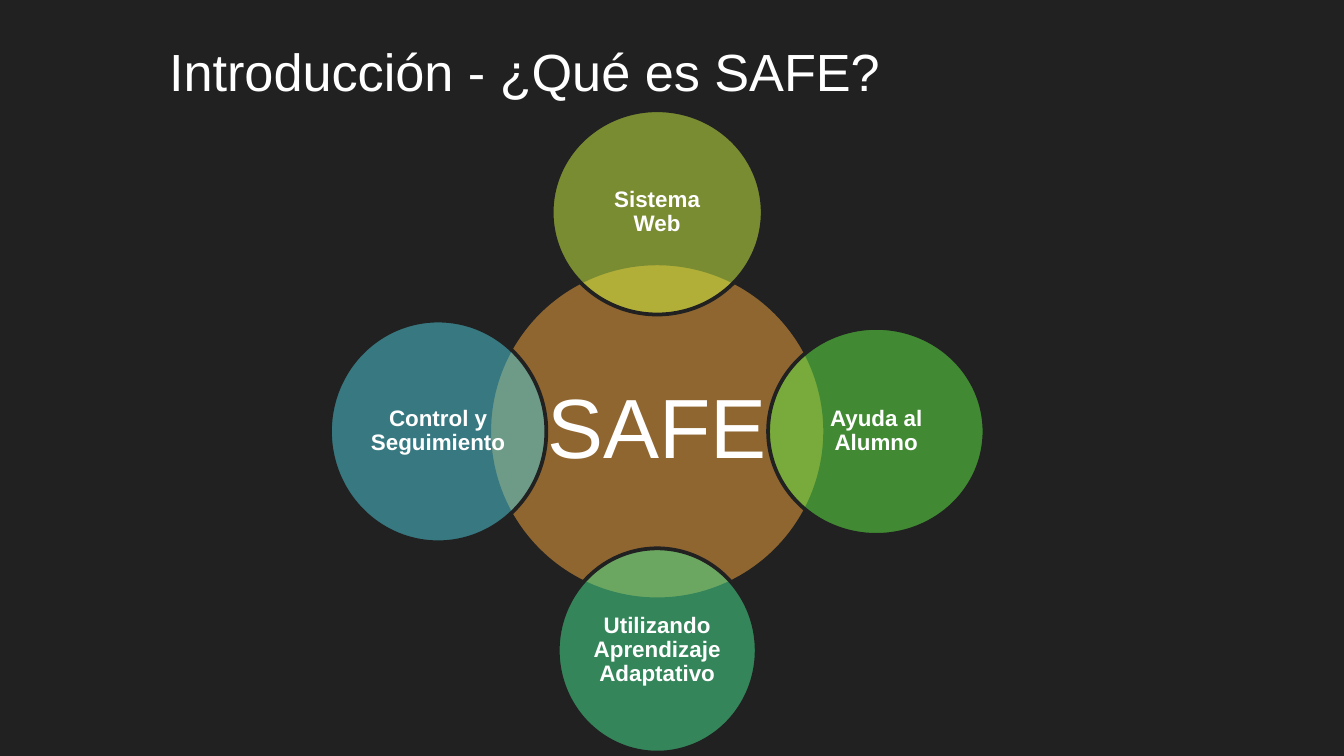
import pptx
import pptx.util
import pptx.dml.color
import pptx.enum.shapes
import pptx.enum.text
import pptx.oxml.ns
import lxml.etree

Inches, Pt = pptx.util.Inches, pptx.util.Pt
BACKGROUND, WHITE = "212121", "FFFFFF"


def paint(color_format, value):
    color_format.rgb = pptx.dml.color.RGBColor.from_string(value)


def add_text(slide, text, left, top, width, height, size, inset):
    box = slide.shapes.add_textbox(*map(Inches, (left, top, width, height)))
    frame = box.text_frame
    frame.word_wrap = True
    frame.margin_left = frame.margin_right = Inches(inset)
    frame.margin_top = frame.margin_bottom = Inches(inset)
    frame.text = text
    for span in frame.paragraphs[0].runs:
        span.font.name = "Arial"
        span.font.size = Pt(size)
        paint(span.font.color, WHITE)
    return frame


# Widescreen 16:9 page
deck = pptx.Presentation()
deck.slide_width = Inches(10)
deck.slide_height = deck.slide_width * 9 // 16
slide = deck.slides.add_slide(deck.slide_layouts[6])
slide.background.fill.solid()
paint(slide.background.fill.fore_color, BACKGROUND)

# Title
add_text(slide, "Introducción - ¿Qué es SAFE?", 1.16, 0.19, 8.71, 0.63, 28, 0.1)

# Hub and four satellites: text, column, row, width, height, color
center_x, center_y, radius = 4.89, 3.21, 1.63
circles = [
    ("SAFE", 0, 0, 2.5, 2.5, "FFAB40"),
    ("Sistema\vWeb", 0, -1, 1.57, 1.52, "D4F843"),
    ("Ayuda al Alumno", 1, 0, 1.61, 1.54, "62F146"),
    ("Utilizando Aprendizaje Adaptativo", 0, 1, 1.48, 1.52, "49E995"),
    ("Control y Seguimiento", -1, 0, 1.61, 1.65, "4DD0E1"),
]
for text, column, row, width, height, color in circles:
    is_hub = column == row == 0
    x, y = center_x + column * radius, center_y + row * radius

    # Half-transparent circle
    circle = slide.shapes.add_shape(
        pptx.enum.shapes.MSO_SHAPE.OVAL,
        *map(Inches, (x - width / 2, y - height / 2, width, height)))
    circle.shadow.inherit = False
    circle.fill.solid()
    paint(circle.fill.fore_color, color)
    fill_color = circle.fill._xPr.find(".//" + pptx.oxml.ns.qn("a:srgbClr"))
    lxml.etree.SubElement(fill_color, pptx.oxml.ns.qn("a:alpha"), val="50000")
    paint(circle.line.color, BACKGROUND)
    circle.line.width = Pt(2)

    # Label in the square inscribed in the circle
    label_width, label_height = width / 2 ** 0.5, height / 2 ** 0.5
    frame = add_text(slide, text, x - label_width / 2, y - label_height / 2,
                     label_width, label_height,
                     45 if is_hub else 12, 0.06 if is_hub else 0.02)
    frame.vertical_anchor = pptx.enum.text.MSO_ANCHOR.MIDDLE
    para = frame.paragraphs[0]
    para.alignment = pptx.enum.text.PP_ALIGN.CENTER
    para.line_spacing = 0.9
    for span in para.runs:
        span.font.bold = not is_hub

deck.save("out.pptx")
